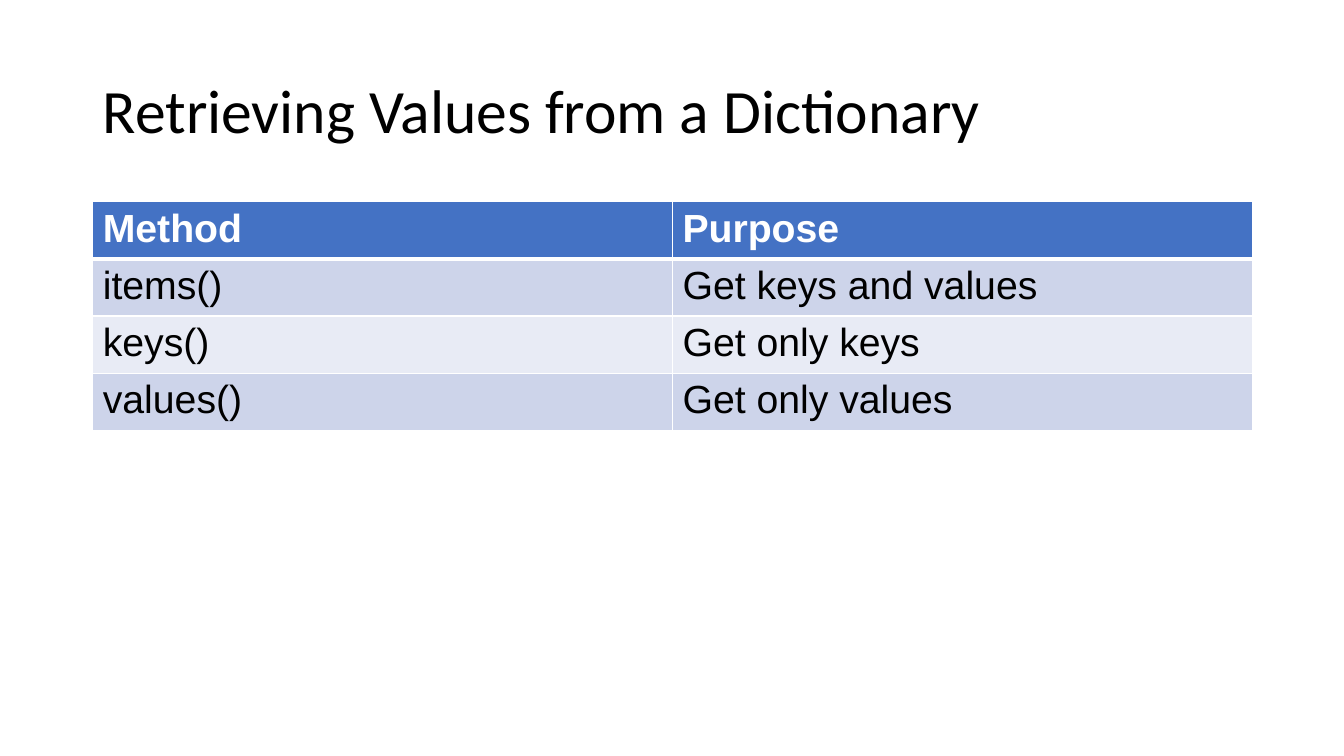
import pptx
import pptx.dml.color
import pptx.enum.text
import pptx.oxml
import pptx.oxml.ns
import pptx.util
from pptx.util import Inches

WHITE, BLACK = "FFFFFF", "000000"
HEADER_BLUE, BANDS = "4472C4", ("CDD4EA", "E8EBF5")
METHODS = [
    ("Method", "Purpose"),
    ("items()", "Get keys and values"),
    ("keys()", "Get only keys"),
    ("values()", "Get only values"),
]


def rgb(color):
    return pptx.dml.color.RGBColor.from_string(color)


class SlideBuilder:
    title_font, title_size = "Calibri", 44
    table_font, table_size = "Arial", 28
    thin, thick = 1, 3

    def __init__(self, slide):
        self.slide = slide

    def style(self, paragraph, name, size, color, bold=False):
        font = paragraph.font
        font.name, font.size, font.bold = name, pptx.util.Pt(size), bold
        font.color.rgb = rgb(color)

    def title(self, text, left, top, width, height):
        frame = self.slide.shapes.add_textbox(
            Inches(left), Inches(top), Inches(width), Inches(height)).text_frame
        frame.word_wrap = True
        frame.vertical_anchor = pptx.enum.text.MSO_ANCHOR.MIDDLE
        heading = frame.paragraphs[0]
        heading.text = text
        heading.line_spacing = 0.9
        self.style(heading, self.title_font, self.title_size, BLACK)

    def border(self, cell, side, width):
        """Draw one white cell edge; side is L, R, T or B."""
        edge = pptx.oxml.parse_xml(
            f'<a:ln{side} {pptx.oxml.ns.nsdecls("a")} w="{pptx.util.Pt(width)}">'
            f'<a:solidFill><a:srgbClr val="{WHITE}"/></a:solidFill></a:ln{side}>')
        cell._tc.get_or_add_tcPr().append(edge)

    def table(self, rows, left, top, width, row_height):
        grid = self.slide.shapes.add_table(
            len(rows), len(rows[0]), Inches(left), Inches(top),
            Inches(width), Inches(row_height * len(rows))).table
        for r, row in enumerate(rows):
            header = r == 0
            for c, text in enumerate(row):
                cell = grid.cell(r, c)
                cell.text = text
                self.style(cell.text_frame.paragraphs[0], self.table_font,
                           self.table_size, WHITE if header else BLACK, header)
                for side in "LRTB":
                    under_header = (r, side) in ((0, "B"), (1, "T"))
                    self.border(cell, side, self.thick if under_header else self.thin)
                cell.fill.solid()
                cell.fill.fore_color.rgb = rgb(
                    HEADER_BLUE if header else BANDS[(r - 1) % 2])


def main():
    deck = pptx.Presentation()
    deck.slide_width, deck.slide_height = Inches(13.33), Inches(7.5)
    builder = SlideBuilder(deck.slides.add_slide(deck.slide_layouts[6]))
    builder.title("Retrieving Values from a Dictionary", 0.92, 0.4, 11.5, 1.45)
    builder.table(METHODS, 0.92, 2, 11.5, 0.41)
    deck.save("out.pptx")


if __name__ == "__main__":
    main()
